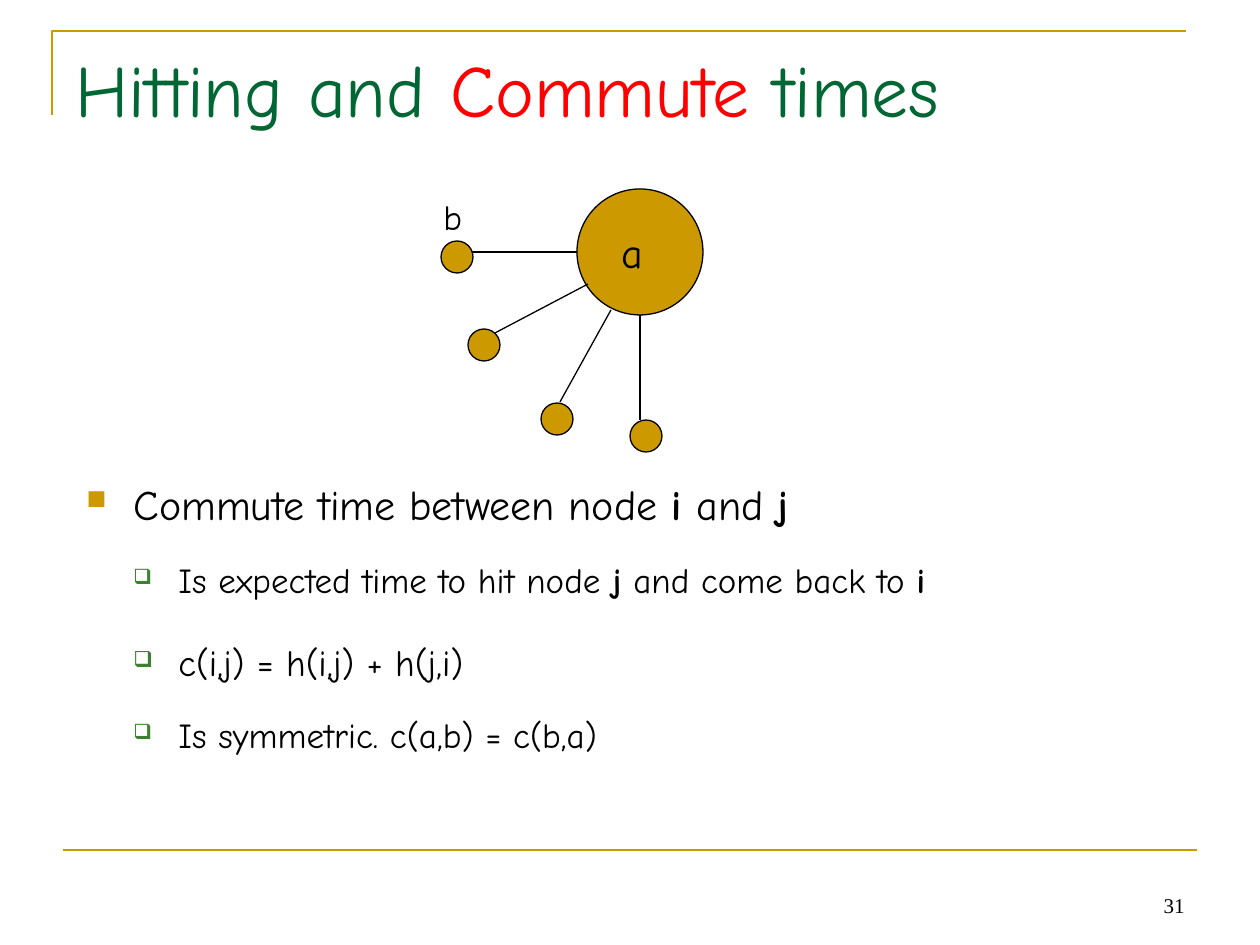
from dataclasses import dataclass
from typing import NamedTuple

from lxml.etree import SubElement
from pptx import Presentation
from pptx.dml.color import RGBColor as RGB
from pptx.enum.shapes import MSO_CONNECTOR as Connector, MSO_SHAPE as Preset
from pptx.enum.text import MSO_ANCHOR as Anchor, PP_ALIGN as Align
from pptx.oxml.ns import qn
from pptx.util import Emu, Pt

PX = 914400 / 126  # EMU in one px


@dataclass(frozen=True)
class Theme:
    gold: str = "CC9900"
    green: str = "006633"
    leaf: str = "3B812F"
    red: str = "FF0000"
    black: str = "000000"
    face: str = "Comic Neue"
    number_face: str = "Times New Roman"
    title: float = 42
    large: float = 24
    formula: float = 21
    small: float = 20
    number: float = 12
    rule: float = 1.5
    edge: float = 0.75


THEME = Theme()


class Span(NamedTuple):
    text: str
    size: float
    color: str = THEME.black
    bold: bool = False
    face: str = THEME.face


class Bullet(NamedTuple):
    mark: str
    color: str
    percent: int
    left: int
    hang: int


class Para(NamedTuple):
    spans: list[Span]
    before: float = 0
    bullet: Bullet | None = None
    align: Align = Align.LEFT


class Node(NamedTuple):
    left: int
    top: int
    size: int


class Edge(NamedTuple):
    x1: int
    y1: int
    x2: int
    y2: int


def px(value: float) -> Emu:
    return Emu(round(value * PX))


def add_bullet(para, bullet: Bullet) -> None:
    props = para._p.get_or_add_pPr()
    props.set("marL", str(px(bullet.left)))
    props.set("indent", str(px(-bullet.hang)))
    color = SubElement(props, qn("a:buClr"))
    SubElement(color, qn("a:srgbClr"), val=bullet.color)
    SubElement(props, qn("a:buSzPct"), val=str(bullet.percent * 1000))
    SubElement(props, qn("a:buChar"), char=bullet.mark)


def add_text(page, left: int, top: int, width: int, height: int,
             paras: list[Para], anchor: Anchor = Anchor.TOP) -> None:
    frame = page.shapes.add_textbox(px(left), px(top), px(width), px(height)).text_frame
    frame.word_wrap = True
    frame.vertical_anchor = anchor
    for index, item in enumerate(paras):
        para = frame.add_paragraph() if index else frame.paragraphs[0]
        if item.bullet:
            add_bullet(para, item.bullet)
        para.alignment = item.align
        if item.before:
            para.space_before = Pt(item.before)
        for span in item.spans:
            run = para.add_run()
            run.text = span.text
            formats = {"name": span.face, "size": Pt(span.size), "bold": span.bold}
            for key, value in formats.items():
                setattr(run.font, key, value)
            run.font.color.rgb = RGB.from_string(span.color)


def set_line(shape, color: str, width: float) -> None:
    shape.line.color.rgb = RGB.from_string(color)
    shape.line.width = Pt(width)


def add_edge(page, edge: Edge, color: str = THEME.black, width: float = THEME.edge) -> None:
    line = page.shapes.add_connector(Connector.STRAIGHT, *map(px, edge))
    set_line(line, color, width)
    SubElement(line._element.spPr, qn("a:effectLst"))


def add_node(page, node: Node) -> None:
    circle = page.shapes.add_shape(Preset.OVAL, px(node.left), px(node.top),
                                   px(node.size), px(node.size))
    circle.shadow.inherit = False
    circle.fill.solid()
    circle.fill.fore_color.rgb = RGB.from_string(THEME.gold)
    set_line(circle, THEME.black, THEME.edge)


def add_corner(page) -> None:
    builder = page.shapes.build_freeform(52, 115, scale=PX)
    builder.add_line_segments([(52, 31), (1186, 31)], close=False)
    corner = builder.convert_to_shape()
    corner.shadow.inherit = False
    corner.fill.background()
    set_line(corner, THEME.gold, THEME.rule)


SQUARE = Bullet("■", THEME.gold, 65, left=47, hang=47)
BOX = Bullet("❑", THEME.leaf, 60, left=92, hang=45)

TITLE = [Para([
    Span("Hitting and ", THEME.title, THEME.green),
    Span("Commute", THEME.title, THEME.red),
    Span(" times", THEME.title, THEME.green),
])]
BODY = [
    Para([
        Span("Commute time between node ", THEME.large),
        Span("i ", THEME.large, bold=True),
        Span("and ", THEME.large),
        Span("j", THEME.large, bold=True),
    ], bullet=SQUARE),
    Para([
        Span("Is expected time to hit node ", THEME.small),
        Span("j", THEME.small, bold=True),
        Span(" and come back to ", THEME.small),
        Span("i", THEME.small, bold=True),
    ], 17, BOX),
    Para([Span("c(i,j) = h(i,j) + h(j,i)", THEME.formula)], 22.5, BOX),
    Para([Span("Is symmetric. c(a,b) = c(b,a)", THEME.small)], 17, BOX),
]
NUMBER = [Para([Span("31", THEME.number, face=THEME.number_face)], align=Align.RIGHT)]

HUB = Node(577, 189, 126)
LEAVES = [Node(left, top, 32) for left, top in
          [(441, 241), (468, 329), (541, 403), (630, 420)]]
EDGES = [Edge(472, 252, 577, 252), Edge(495, 333, 588, 284),
         Edge(560, 402, 611, 310), Edge(640, 420, 640, 315)]


def main() -> None:
    deck = Presentation()
    deck.slide_width, deck.slide_height = px(1260), px(945)
    page = deck.slides.add_slide(deck.slide_layouts[6])

    # Frame rules
    add_corner(page)
    add_edge(page, Edge(63, 850, 1197, 850), THEME.gold, THEME.rule)

    # Title and bullets
    add_text(page, 63, 38, 1134, 157, TITLE)
    add_text(page, 74, 472, 1134, 368, BODY)

    # Star graph
    for node in [HUB, *LEAVES]:
        add_node(page, node)
    for edge in EDGES:
        add_edge(page, edge)
    add_text(page, 609, 220, 63, 63, [Para([Span("a", THEME.large)])])
    add_text(page, 431, 189, 63, 55, [Para([Span("b", THEME.small)])])

    # Page number
    add_text(page, 903, 861, 294, 63, NUMBER, Anchor.BOTTOM)

    deck.save("out.pptx")


if __name__ == "__main__":
    main()
